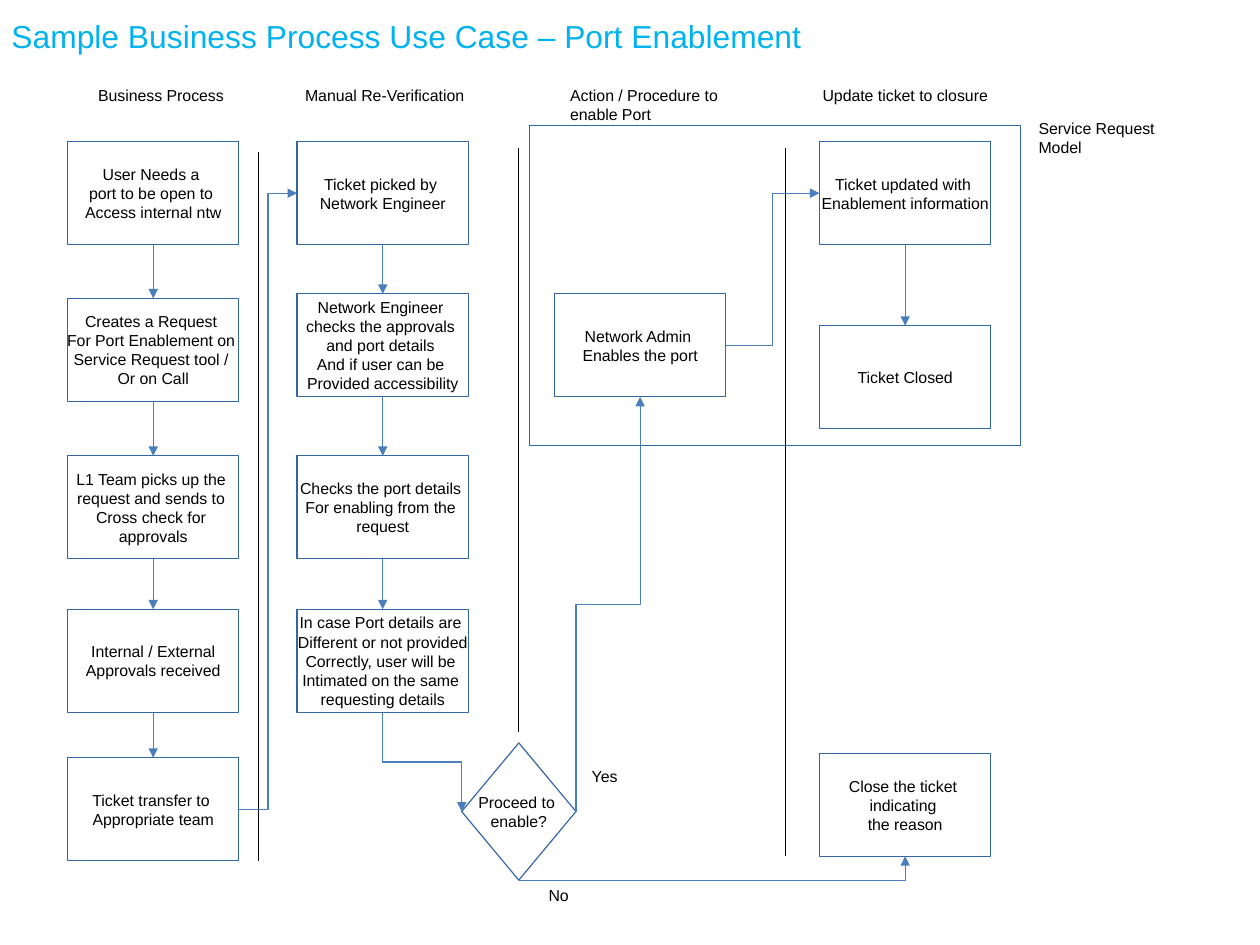
from itertools import pairwise

from lxml import etree
from pptx import Presentation
from pptx.dml.color import RGBColor
from pptx.enum import shapes, text
from pptx.oxml import ns
from pptx.util import Cm, Pt

CYAN = RGBColor(0x00, 0xB2, 0xEF)
BLACK = RGBColor(0x00, 0x00, 0x00)
OUTLINE = RGBColor(0x34, 0x65, 0xA4)
ARROW = RGBColor(0x4B, 0x7E, 0xBC)

STEP_WIDTH, STEP_HEIGHT = 3.81, 2.29
BUSINESS, VERIFICATION, ACTION, CLOSURE = 1.5, 6.6, 12.32, 18.21  # column lefts


def edge(shape, side):
    """Middle point of one side of a shape."""
    across, down = {"left": (0, 1), "right": (2, 1), "top": (1, 0), "bottom": (1, 2)}[side]
    return shape.left + shape.width * across // 2, shape.top + shape.height * down // 2


class Flowchart:
    """Style and current slide, with a method for each kind of element."""

    font, size, weight = "Arial", Pt(10), Pt(0.75)

    def __init__(self, page):
        self.page = page

    def set_text(self, box, words, size=size, color=BLACK, align=text.PP_ALIGN.LEFT):
        box.text_frame.text = words
        for para in box.text_frame.paragraphs:
            para.alignment = align
            for span in para.runs:
                span.font.name, span.font.size = self.font, size
                span.font.color.rgb = color

    def title(self, words):
        box = self.page.shapes.title
        box.left, box.top, box.width, box.height = Cm(0), Cm(0.08), Cm(24.94), Cm(1.45)
        self.set_text(box, words, Pt(20), CYAN)
        box.text_frame.auto_size = text.MSO_AUTO_SIZE.NONE
        box.text_frame.vertical_anchor = text.MSO_ANCHOR.MIDDLE

    def label(self, words, left, top, width=4.32, height=0.64):
        box = self.page.shapes.add_textbox(Cm(left), Cm(top), Cm(width), Cm(height))
        box.text_frame.word_wrap = True
        self.set_text(box, words)

    def outline(self, left, top, width, height, kind=shapes.MSO_SHAPE.RECTANGLE):
        box = self.page.shapes.add_shape(kind, Cm(left), Cm(top), Cm(width), Cm(height))
        box.shadow.inherit = False
        box.fill.background()
        box.line.color.rgb, box.line.width = OUTLINE, self.weight
        return box

    def step(self, words, left, top, width=STEP_WIDTH, height=STEP_HEIGHT,
             kind=shapes.MSO_SHAPE.RECTANGLE):
        box = self.outline(left, top, width, height, kind)
        box.text_frame.word_wrap = False
        box.text_frame.vertical_anchor = text.MSO_ANCHOR.MIDDLE
        self.set_text(box, words, align=text.PP_ALIGN.CENTER)
        return box

    def connector(self, kind, start, end, color):
        line = self.page.shapes.add_connector(kind, *start, *end)
        line.line.color.rgb, line.line.width = color, self.weight
        etree.SubElement(line._element.spPr, ns.qn("a:effectLst"))
        return line

    def divider(self, left, top, bottom):
        self.connector(shapes.MSO_CONNECTOR.STRAIGHT, (Cm(left), Cm(top)),
                       (Cm(left), Cm(bottom)), BLACK)

    def arrow(self, start, end, vertical=False, corner=False):
        """Elbow arrow; vertical leaves upright, corner makes a single bend."""
        if vertical:  # lay the elbow on its side, then turn it a quarter
            (x1, y1), (x2, y2) = start, end
            middle_x, middle_y = (x1 + x2) // 2, (y1 + y2) // 2
            half_x, half_y = (x2 - x1) // 2, (y2 - y1) // 2
            start = middle_x - half_y, middle_y + half_x
            end = middle_x + half_y, middle_y - half_x
        line = self.connector(shapes.MSO_CONNECTOR.ELBOW, start, end, ARROW)
        properties = line._element.spPr
        if vertical:
            properties.find(ns.qn("a:xfrm")).set("rot", "5400000")
        if corner:
            properties.find(ns.qn("a:prstGeom")).set("prst", "bentConnector2")
        etree.SubElement(properties.find(ns.qn("a:ln")), ns.qn("a:tailEnd"), type="triangle")


deck = Presentation()
deck.slide_width, deck.slide_height = Cm(28), Cm(21)
chart = Flowchart(deck.slides.add_slide(deck.slide_layouts[5]))
chart.title("Sample Business Process Use Case – Port Enablement")

# Column headings and dividers
for heading, left, height in [
    ("Business Process", 1.93, 0.64),
    ("Manual Re-Verification", 6.53, 0.64),
    ("Action / Procedure to enable Port", 12.42, 1.04),
    ("Update ticket to closure", 18.03, 0.64),
]:
    chart.label(heading, left, 1.78, height=height)
for left, top, bottom in [(5.74, 3.38, 19.13), (11.53, 3.28, 16.26), (17.45, 3.28, 19.02)]:
    chart.divider(left, top, bottom)

# Service request frame
chart.outline(11.76, 2.79, 10.92, 7.11)
chart.label("Service Request Model", 22.83, 2.51, 3.81, 1.04)

# Steps in columns
business = [chart.step(words, BUSINESS, top) for words, top in [
    ("User Needs a \nport to be open to \nAccess internal ntw", 3.15),
    ("Creates a Request \nFor Port Enablement on \nService Request tool / \nOr on Call", 6.63),
    ("L1 Team picks up the \nrequest and sends to \nCross check for \napprovals", 10.13),
    ("Internal / External\nApprovals received", 13.54),
    ("Ticket transfer to \nAppropriate team", 16.84),
]]
verification = [chart.step(words, VERIFICATION, top) for words, top in [
    ("Ticket picked by \nNetwork Engineer", 3.15),
    ("Network Engineer \nchecks the approvals \nand port details \n"
     "And if user can be \nProvided accessibility", 6.53),
    ("Checks the port details \nFor enabling from the \nrequest", 10.13),
    ("In case Port details are \nDifferent or not provided\nCorrectly, user will be \n"
     "Intimated on the same \nrequesting details", 13.54),
]]
closure = [chart.step(words, CLOSURE, top) for words, top in [
    ("Ticket updated with \nEnablement information", 3.15),
    ("Ticket Closed", 7.24),
]]
admin = chart.step("Network Admin \nEnables the port", ACTION, 6.53)
rejected = chart.step("Close the ticket \nindicating \nthe reason", CLOSURE, 16.74)

# Decision
decision = chart.step("Proceed to \nenable?", 10.26, 16.51, 2.54, 3.05, shapes.MSO_SHAPE.DIAMOND)
chart.label("No", 11.94, 19.56, 2.03)
chart.label("Yes", 12.9, 16.92, 2.03)

# Arrows down each column
for column in (business, verification, closure):
    for upper, lower in pairwise(column):
        chart.arrow(edge(upper, "bottom"), edge(lower, "top"), vertical=True)

# Arrows between columns
chart.arrow(edge(business[-1], "right"), edge(verification[0], "left"))
chart.arrow(edge(verification[-1], "bottom"), edge(decision, "left"), vertical=True)
chart.arrow(edge(decision, "right"), edge(admin, "bottom"), vertical=True)
chart.arrow(edge(decision, "bottom"), edge(rejected, "bottom"), corner=True)
chart.arrow(edge(admin, "right"), edge(closure[0], "left"))

deck.save("out.pptx")
